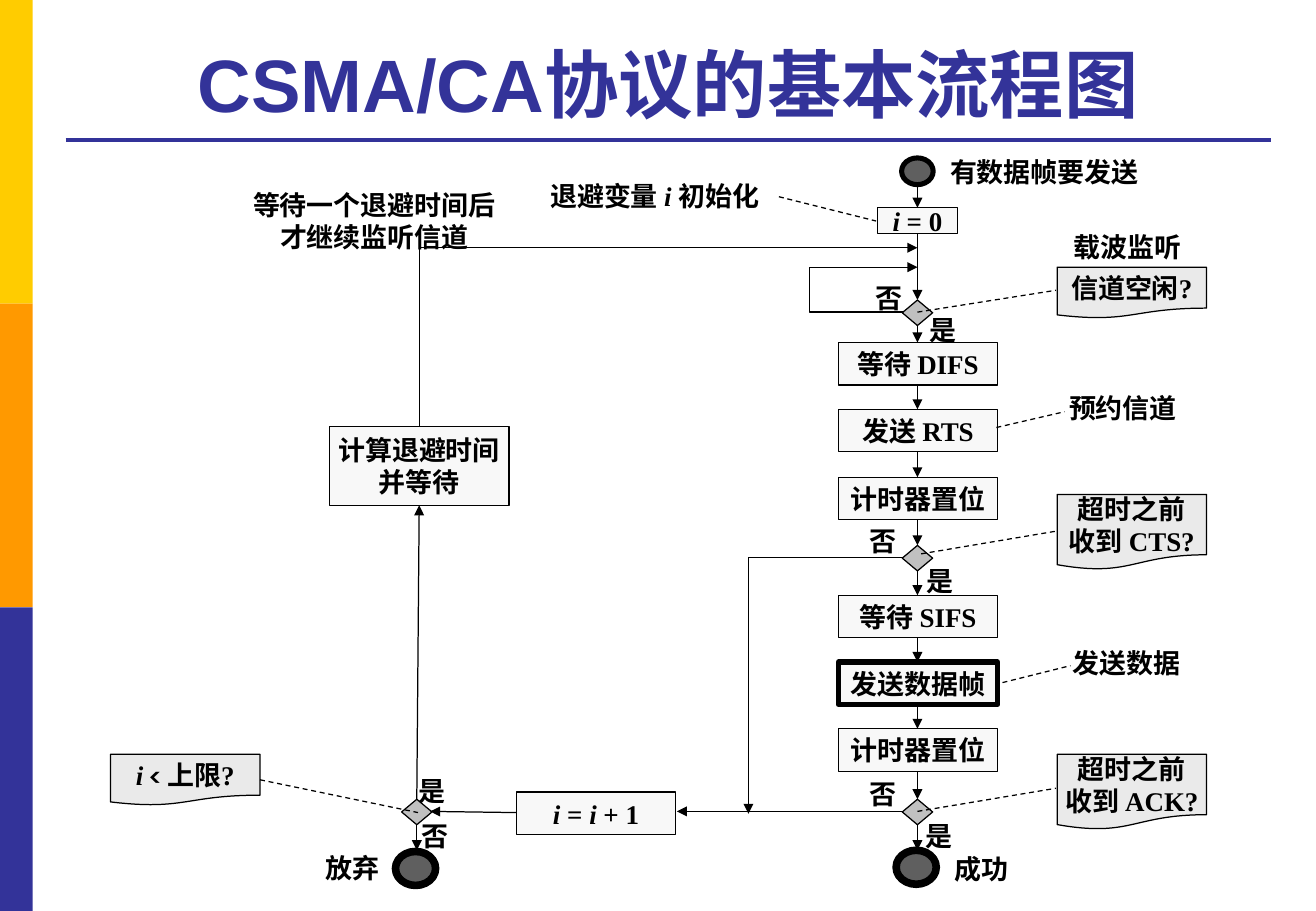
from itertools import pairwise

from lxml import etree
from pptx import Presentation
from pptx import util as u
from pptx.dml.color import RGBColor
from pptx.enum import dml, shapes, text
from pptx.oxml.ns import qn

AXIS, LEFT_AXIS = 7.55, 3.43
NAVY, BLACK, PALE, GREY = "333399", "000000", "F8F8F8", "EAEAEA"
KIND = shapes.MSO_SHAPE


def color(value):
    """Turn a hex string into a colour."""
    return RGBColor.from_string(value)


def write(tf, content, font="Cabin", size=16, ink=BLACK, align=None):
    """Fill a frame; lines split at newlines and runs at bars, ASCII runs in Times."""
    for n, line in enumerate(content.split("\n")):
        p = tf.paragraphs[0] if n == 0 else tf.add_paragraph()
        p.alignment = align
        for part in line.split("|"):
            r = p.add_run()
            r.text = part
            f = r.font
            f.name = "Times New Roman" if part.isascii() else font
            f.size, f.bold, f.italic = u.Pt(size), True, part.strip() == "i"
            f.color.rgb = color(ink)


def shape(s, kind, x, y, w, h, fill, content="", font="Times New Roman", line=0.75):
    """Add a filled shape with centred, unwrapped text."""
    sp = s.shapes.add_shape(kind, *map(u.Inches, (x, y, w, h)))
    sp.shadow.inherit = False
    sp.fill.solid()
    sp.fill.fore_color.rgb = color(fill)
    if line:
        sp.line.color.rgb = color(BLACK)
        sp.line.width = u.Pt(line)
    else:
        sp.line.fill.background()
    if content:
        tf = sp.text_frame
        tf.word_wrap = False
        tf.vertical_anchor = text.MSO_ANCHOR.MIDDLE
        write(tf, content, font, align=text.PP_ALIGN.CENTER)


def label(s, x, y, w, content, h=0.32, align=None):
    """Add a free text label."""
    tf = s.shapes.add_textbox(*map(u.Inches, (x, y, w, h))).text_frame
    tf.word_wrap = True
    write(tf, content, align=align)


def connect(s, x1, y1, x2, y2, arrow="tailEnd", dash=False, bend=None, adj=None,
            ink=BLACK, width=0.75):
    """Add a straight or bent connector with an optional arrowhead."""
    kind = shapes.MSO_CONNECTOR.ELBOW if bend else shapes.MSO_CONNECTOR.STRAIGHT
    c = s.shapes.add_connector(kind, *map(u.Inches, (x1, y1, x2, y2)))
    c.line.color.rgb = color(ink)
    c.line.width = u.Pt(width)
    if dash:
        c.line.dash_style = dml.MSO_LINE.DASH
    spPr = c._element.spPr
    if arrow:
        etree.SubElement(spPr.find(qn("a:ln")), qn("a:" + arrow), type="triangle")
    etree.SubElement(spPr, qn("a:effectLst"))
    if bend:
        geom = spPr.find(qn("a:prstGeom"))
        geom.set("prst", bend)
        if adj is not None:
            etree.SubElement(geom.find(qn("a:avLst")), qn("a:gd"),
                             name="adj1", fmla=f"val {round(adj * 100000)}")


def diamond(s, x, y):
    """Add a decision diamond centred on x."""
    shape(s, KIND.FLOWCHART_DECISION, x - 0.125, y, 0.25, 0.21, "C0C0C0")


def terminal(s, x, y, w, h, line):
    """Add a start or end circle centred on x."""
    shape(s, KIND.OVAL, x - w / 2, y, w, h, "5F5F5F", line=line)


def process(s, x, y, w, h, content, line=0.75):
    """Add a process box."""
    shape(s, KIND.FLOWCHART_PROCESS, x, y, w, h, PALE, content, line=line)


def frame(s):
    """Add the side bars, the title and its rule."""
    for n, fill in enumerate(("FFCC00", "FF9900", NAVY)):
        shape(s, KIND.RECTANGLE, 0, 2.5 * n, 0.27, 2.5, fill, line=0)
    connect(s, 0.54, 1.15, 10.46, 1.15, arrow=None, ink=NAVY, width=2.25)
    title = s.shapes.title
    title.left, title.top, title.width, title.height = map(u.Inches, (0.55, 0.21, 9.9, 0.89))
    tf = title.text_frame
    tf.vertical_anchor = text.MSO_ANCHOR.BOTTOM
    write(tf, "CSMA/CA协议的基本流程图", "Arial", 44, NAVY, text.PP_ALIGN.CENTER)


def main_column(s):
    """Add the sending steps from top to bottom with the arrows between them."""
    steps = [(2.82, "等待 DIFS"), (3.37, "发送 RTS"), (3.93, "计时器置位"),
             (4.9, "等待 SIFS"), (5.45, "发送数据帧"), (6, "计时器置位")]
    decisions = (2.47, 4.49, 6.58)
    terminal(s, AXIS, 1.3, 0.26, 0.22, 3)
    process(s, 7.22, 1.71, 0.66, 0.21, "i |= 0")
    for y, content in steps:
        process(s, 6.9, y, 1.31, 0.35, content, 3 if content == "发送数据帧" else 0.75)
    for y in decisions:
        diamond(s, AXIS, y)
    terminal(s, AXIS - 0.01, 7, 0.33, 0.28, 4.5)
    spans = [(1.3, 0.22), (1.71, 0.21), (7, 0.28)]
    spans += [(y, 0.35) for y, _ in steps] + [(y, 0.21) for y in decisions]
    for (top, height), (below, _) in pairwise(sorted(spans)):
        connect(s, AXIS, top + height, AXIS, below)


def retry_branch(s):
    """Add the back-off steps and the paths that lead back to listening."""
    process(s, 4.25, 6.52, 1.31, 0.35, "i |= |i| + 1")
    process(s, 2.71, 3.51, 1.48, 0.65, "计算退避时间\n并等待")
    diamond(s, LEFT_AXIS, 6.58)
    terminal(s, LEFT_AXIS - 0.01, 7.01, 0.33, 0.28, 4.5)
    for ends in ((LEFT_AXIS, 6.79, LEFT_AXIS, 7), (LEFT_AXIS, 6.58, 3.45, 4.16),
                 (4.25, 6.69, 3.54, 6.68), (7.42, 6.68, 5.57, 6.68)):
        connect(s, *ends)
    connect(s, 7.43, 2.57, AXIS, 2.2, bend="bentConnector3", adj=-6.42)
    connect(s, 7.43, 4.59, 6.16, 6.7, bend="bentConnector2")
    connect(s, AXIS, 2.04, 3.45, 3.51, arrow="headEnd", bend="bentConnector2")


def notes(s):
    """Add the question sheets, the dashed leaders and the labels."""
    for x, y, h, content in ((8.7, 2.2, 0.42, "信道空闲|?"),
                             (8.7, 4.07, 0.62, "超时之前\n收到 |CTS?"),
                             (8.7, 6.21, 0.62, "超时之前\n收到 |ACK?"),
                             (0.91, 6.21, 0.42, "i| < 上限|?")):
        shape(s, KIND.FLOWCHART_DOCUMENT, x, y, 1.23, h, GREY, content, "Cabin")
    for ends in ((2.14, 6.42, 3.44, 6.69), (7.55, 2.57, 8.69, 2.39), (7.58, 4.56, 8.71, 4.37),
                 (7.55, 6.68, 8.69, 6.49), (6.41, 1.62, 7.21, 1.82), (8.2, 3.52, 8.76, 3.39),
                 (8.25, 5.62, 8.81, 5.48)):
        connect(s, *ends, arrow=None, dash=True)
    answers = {"是": ((7.55, 2.53), (7.52, 6.7), (7.53, 4.6), (3.35, 6.33)),
               "否": ((7.11, 2.27), (7.06, 4.27), (7.06, 6.35), (3.37, 6.7))}
    for answer, places in answers.items():
        for x, y in places:
            label(s, x, y, 0.44, answer)
    for x, y, w, content in ((4.43, 1.43, 2.05, "退避变量 |i |初始化"),
                             (7.72, 1.23, 1.97, "有数据帧要发送"),
                             (7.76, 6.97, 0.82, "成功"), (2.58, 6.96, 0.82, "放弃"),
                             (8.74, 1.85, 1.56, "载波监听"), (8.7, 3.17, 1.56, "预约信道"),
                             (8.73, 5.27, 1.56, "发送数据")):
        label(s, x, y, w, content)
    label(s, 1.89, 1.5, 2.38, "等待一个退避时间后\n才继续监听信道", 0.56, text.PP_ALIGN.CENTER)


def main():
    """Build the slide and save it."""
    prs = Presentation()
    prs.slide_width, prs.slide_height = u.Inches(10.83), u.Inches(7.5)
    s = prs.slides.add_slide(prs.slide_layouts[5])
    frame(s)
    main_column(s)
    retry_branch(s)
    notes(s)
    prs.save("out.pptx")


if __name__ == "__main__":
    main()
